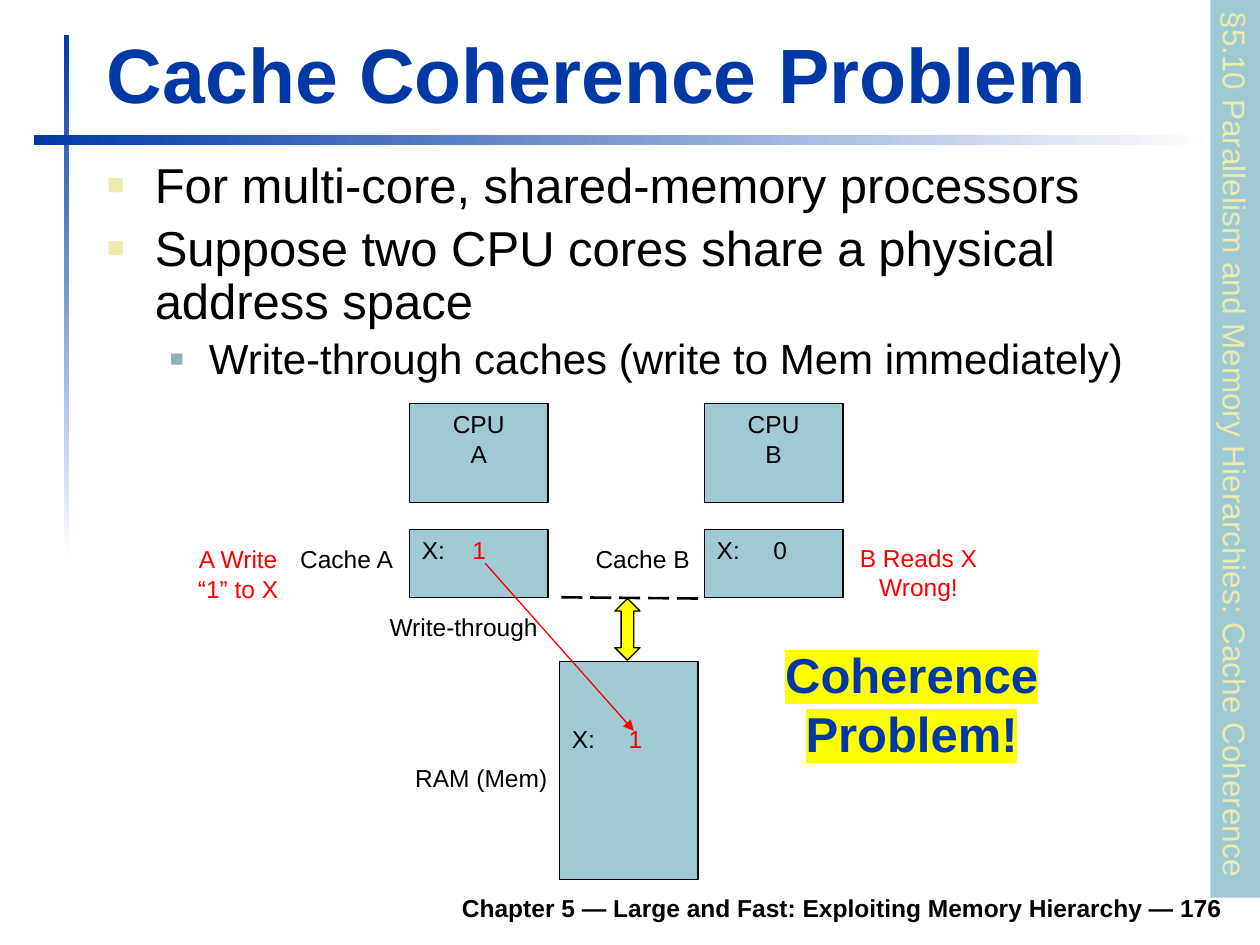
from lxml import etree
from pptx import Presentation
from pptx.dml.color import RGBColor
from pptx.enum.dml import MSO_LINE
from pptx.enum.shapes import MSO_CONNECTOR as CONN, MSO_SHAPE as SHAPE
from pptx.enum.text import MSO_ANCHOR as ANCHOR, PP_ALIGN as ALIGN
from pptx.oxml.ns import qn
from pptx.util import Inches, Pt

BLUE, TEAL, CREAM, SLATE = "0039A6", "9FCAD3", "ECEAAC", "91AFBF"
BLACK, WHITE, RED, YELLOW = "000000", "FFFFFF", "FF0000", "FFFF00"


def rgb(value):
    return RGBColor.from_string(value)


def inches(box):
    return [Inches(v) for v in box]


def add_run(p, text, size=14, color=BLACK, bold=False, highlight=None):
    r = p.add_run()
    r.text = text
    r.font.name = "Arial"
    r.font.size = Pt(size)
    r.font.bold = bold
    r.font.color.rgb = rgb(color)
    if highlight:
        mark = etree.Element(qn("a:highlight"))
        etree.SubElement(mark, qn("a:srgbClr"), val=highlight)
        r._r.rPr.find(qn("a:solidFill")).addnext(mark)


def add_text(slide, box, text, align=ALIGN.CENTER, anchor=ANCHOR.TOP, **style):
    tf = slide.shapes.add_textbox(*inches(box)).text_frame
    tf.word_wrap = True
    tf.vertical_anchor = anchor
    p = tf.paragraphs[0]
    p.alignment = align
    add_run(p, text, **style)


def add_block(slide, box, fill=TEAL, outlined=True, kind=SHAPE.RECTANGLE):
    sp = slide.shapes.add_shape(kind, *inches(box))
    sp.shadow.inherit = False
    sp.fill.solid()
    sp.fill.fore_color.rgb = rgb(fill)
    if outlined:
        sp.line.color.rgb = rgb(BLACK)
        sp.line.width = Pt(0.75)
    else:
        sp.line.fill.background()
    tf = sp.text_frame
    tf.vertical_anchor = ANCHOR.TOP
    tf.paragraphs[0].alignment = ALIGN.LEFT
    return sp


def add_line(slide, start, end, color, width):
    cx = slide.shapes.add_connector(CONN.STRAIGHT, *inches(start + end))
    cx.line.color.rgb = rgb(color)
    cx.line.width = Pt(width)
    etree.SubElement(cx._element.spPr, qn("a:effectLst"))
    return cx


def add_rule(slide, box, angle):
    """Bar fading from blue to white."""
    sp = add_block(slide, box, outlined=False)
    sp.fill.gradient()
    sp.fill.gradient_angle = angle
    for stop, color in zip(sp.fill.gradient_stops, (BLUE, WHITE)):
        stop.color.rgb = rgb(color)


def add_bullets(slide, box, items):
    # level: text indent, hanging indent, text size, bullet colour, bullet percent
    levels = [(0.38, 0.38, 28, CREAM, 60), (0.81, 0.31, 24, SLATE, 55)]
    tf = slide.shapes.add_textbox(*inches(box)).text_frame
    tf.word_wrap = True
    for i, (level, text) in enumerate(items):
        indent, hang, size, color, percent = levels[level]
        p = tf.paragraphs[0] if i == 0 else tf.add_paragraph()
        p.level = level
        p.line_spacing = 0.9
        if i:
            p.space_before = Pt(round(size * 0.2, 1))
        pPr = p._p.get_or_add_pPr()
        pPr.set("marL", str(Inches(indent)))
        pPr.set("indent", str(-Inches(hang)))
        bu_color = etree.SubElement(pPr, qn("a:buClr"))
        etree.SubElement(bu_color, qn("a:srgbClr"), val=color)
        etree.SubElement(pPr, qn("a:buSzPct"), val=str(percent * 1000))
        etree.SubElement(pPr, qn("a:buFont"), typeface="Arial")
        etree.SubElement(pPr, qn("a:buChar"), char="■")
        add_run(p, text, size)


def add_sidebar(slide, box, text):
    sp = add_block(slide, box, outlined=False)
    sp.rotation = 90
    sp.text_frame.word_wrap = False
    add_run(sp.text_frame.paragraphs[0], text, 18, CREAM)


def add_cpu(slide, box, name):
    tf = add_block(slide, box).text_frame
    for p, text in zip((tf.paragraphs[0], tf.add_paragraph()), ("CPU", name)):
        p.alignment = ALIGN.CENTER
        add_run(p, text)


def add_memory(slide, box, value, color, tab, top=0.05):
    """Memory block holding X, with its value set at a tab stop."""
    tf = add_block(slide, box).text_frame
    tf.margin_top = Inches(top)
    p = tf.paragraphs[0]
    tabs = etree.SubElement(p._p.get_or_add_pPr(), qn("a:tabLst"))
    etree.SubElement(tabs, qn("a:tab"), pos=str(Inches(tab)), algn="l")
    add_run(p, "X:\t")
    add_run(p, value, color=color)


def add_diagram(slide, left, top):
    def at(x, y, *size):
        return (left + x, top + y, *size)

    # Cores, caches and main memory
    width, second, ram_x = 1.1, 2.34, 1.19
    add_cpu(slide, at(0, 0, width, 0.79), "A")
    add_memory(slide, at(0, 1, width, 0.54), "1", RED, 0.4)
    add_cpu(slide, at(second, 0, width, 0.79), "B")
    add_memory(slide, at(second, 1, width, 0.54), "0", BLACK, 0.45)
    add_memory(slide, at(ram_x, 2.05, width, 1.73), "1", RED, 0.45, top=0.5)

    # Bus and write-through path
    add_block(slide, at(1.63, 1.55, 0.2, 0.49), YELLOW, kind=SHAPE.UP_DOWN_ARROW)
    bus = add_line(slide, at(2.29, 1.55), at(1.15, 1.54), BLACK, 1.5)
    bus.line.dash_style = MSO_LINE.LONG_DASH
    write = add_line(slide, at(0.6, 1.27), at(1.78, 2.6), RED, 0.75)
    etree.SubElement(write.line._get_or_add_ln(), qn("a:tailEnd"), type="triangle")

    # Labels
    labels = [
        (-0.28, 1.61, 1.42, 0.34, "Write-through", BLACK),
        (3.47, 1.06, 1.14, 0.57, "B Reads X Wrong!", RED),
        (-1.87, 1.07, 1.02, 0.57, "A Write “1” to X", RED),
        (-1.01, 1.07, 1.02, 0.34, "Cache A", BLACK),
        (-0.06, 2.81, 1.26, 0.34, "RAM (Mem)", BLACK),
        (1.34, 1.07, 1.02, 0.34, "Cache B", BLACK),
    ]
    for x, y, w, h, text, color in labels:
        add_text(slide, at(x, y, w, h), text, color=color)
    add_text(slide, at(2.85, 1.87, 2.27, 1.04), "Coherence Problem!",
             size=28, color=BLUE, bold=True, highlight=YELLOW)


def main():
    prs = Presentation()
    prs.slide_width, prs.slide_height = Inches(10), Inches(7.5)
    slide = prs.slides.add_slide(prs.slide_layouts[6])

    # Frame: rules, footer, title
    add_rule(slide, (0.51, 0.28, 0.04, 4.17), 270)
    add_rule(slide, (0.27, 1.07, 9.37, 0.08), 0)
    add_text(slide, (1.85, 6.98, 7.95, 0.39),
             "Chapter 5 — Large and Fast: Exploiting Memory Hierarchy — 176",
             ALIGN.RIGHT, ANCHOR.BOTTOM, bold=True)
    add_text(slide, (0.75, 0.16, 9.03, 0.83), "Cache Coherence Problem",
             ALIGN.LEFT, ANCHOR.BOTTOM, size=44, color=BLUE, bold=True)

    # Content
    add_bullets(slide, (0.75, 1.23, 8.35, 1.49), [
        (0, "For multi-core, shared-memory processors"),
        (0, "Suppose two CPU cores share a physical address space"),
        (1, "Write-through caches (write to Mem immediately)"),
    ])
    add_sidebar(slide, (6.24, 3.36, 7.13, 0.4),
                "§5.10 Parallelism and Memory Hierarchies: Cache Coherence")
    add_diagram(slide, 3.25, 3.2)
    prs.save("out.pptx")


if __name__ == "__main__":
    main()
